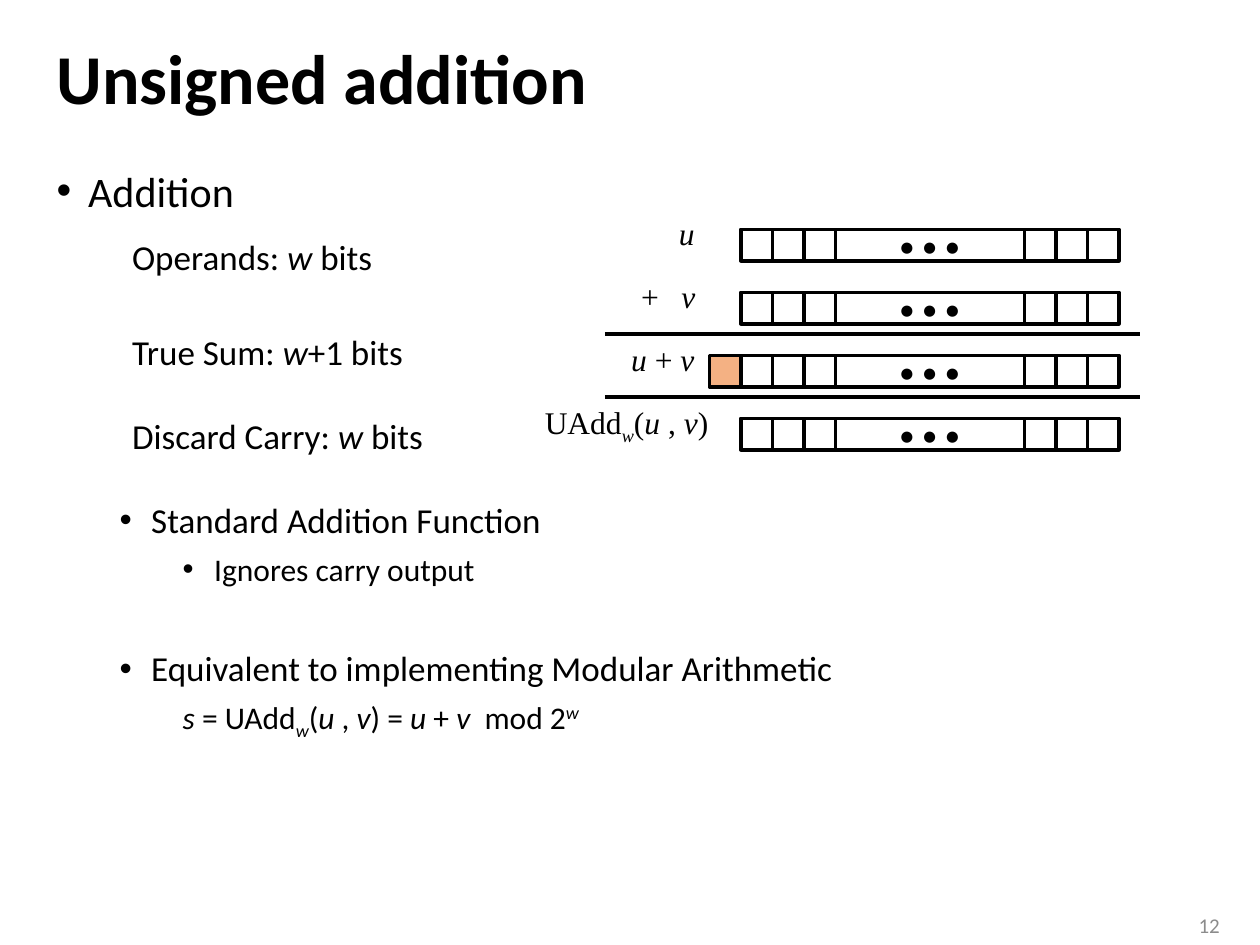
from lxml.etree import SubElement
from pptx import Presentation
from pptx.dml.color import RGBColor
from pptx.enum.shapes import MSO_CONNECTOR, MSO_SHAPE
from pptx.enum.text import MSO_ANCHOR, MSO_AUTO_SIZE, PP_ALIGN
from pptx.oxml.ns import qn
from pptx.util import Inches, Pt

COLORS = {"ink": "000000", "paper": "FFFFFF", "carry": "F4B183", "page": "8C8C8C"}
SANS, SERIF = "Calibri", "Times New Roman"
UNIT, LEFT, TOP, STEP = 0.25, 5.88, 1.82, 0.5
BASES = {"_": "-25000", "^": "30000"}


def color(name):
    """Look up a palette colour."""
    return RGBColor.from_string(COLORS[name])


def place(shape, left, top, width, height):
    """Set a shape's box in inches."""
    shape.left, shape.top = Inches(left), Inches(top)
    shape.width, shape.height = Inches(width), Inches(height)


def write(para, text, size, face=SANS, ink="ink", bold=None):
    """Fill a paragraph; pieces between bars are italic, _ lowers and ^ raises."""
    for i, part in enumerate(text.split("|")):
        if not part:
            continue
        run = para.add_run()
        run.text = part.lstrip("_^")
        if i % 2:
            run.font.italic = True
        if part[0] in BASES:
            run.font._element.set("baseline", BASES[part[0]])
    font = para.font
    font.size, font.name, font.bold = Pt(size), face, bold
    font.color.rgb = color(ink)


def label(slide, box, text, size, face=SANS, align=PP_ALIGN.LEFT, ink="ink"):
    """Add a one-line text box."""
    shape = slide.shapes.add_textbox(*map(Inches, box))
    shape.text_frame.word_wrap = False
    para = shape.text_frame.paragraphs[0]
    para.alignment = align
    write(para, text, size, face, ink)
    return shape


def cell(slide, col, row, span=1, text="", fill="paper"):
    """Add one bit cell on the grid."""
    box = LEFT + col * UNIT, TOP + row * STEP, span * UNIT, UNIT
    shape = slide.shapes.add_shape(MSO_SHAPE.RECTANGLE, *map(Inches, box))
    shape.shadow.inherit = False
    shape.fill.solid()
    shape.fill.fore_color.rgb = color(fill)
    shape.line.color.rgb = color("ink")
    shape.line.width = Pt(2)
    if text:
        frame = shape.text_frame
        frame.word_wrap, frame.vertical_anchor = False, MSO_ANCHOR.MIDDLE
        frame.paragraphs[0].alignment = PP_ALIGN.CENTER
        write(frame.paragraphs[0], text, 18)


def word(slide, row):
    """Add a row of bits with dots in the middle."""
    for col in (0, 1, 2, 9, 10, 11):
        cell(slide, col, row)
    cell(slide, 3, row, 6, "• • •")


def rule(slide, y):
    """Add a sum line across the diagram."""
    ends = map(Inches, (4.8, y, 9.05, y))
    line = slide.shapes.add_connector(MSO_CONNECTOR.STRAIGHT, *ends)
    line.line.color.rgb = color("ink")
    line.line.width = Pt(2)
    SubElement(line._element.spPr, qn("a:effectLst"))


def item(para, text, level, size, space, dot=True):
    """Format one list paragraph."""
    para.level, para.space_before = level, Pt(space)
    props = para._p.get_or_add_pPr()
    props.set("marL", str(Inches(UNIT + level * 0.5)))
    props.set("indent", str(-Inches(UNIT) if dot else -Inches(UNIT)))
    if dot:
        SubElement(props, qn("a:buFont")).set("typeface", "Arial")
        SubElement(props, qn("a:buChar")).set("char", "•")
    else:
        SubElement(props, qn("a:buNone"))
    write(para, text, size)


def text(slide):
    """Fill the title and the list."""
    title, body = slide.placeholders
    place(title, 0.35, 0.19, 9.29, 0.92)
    head = title.text_frame.paragraphs[0]
    head.alignment, head.line_spacing = PP_ALIGN.LEFT, 0.9
    write(head, "Unsigned addition", 40, bold=True)
    place(body, 0.35, 1.26, 9.29, 5.83)
    frame = body.text_frame
    frame.auto_size = MSO_AUTO_SIZE.NONE
    rows = [
        ("Addition", 0, 24, 0),
        ("Standard Addition Function", 1, 20, 162),
        ("Ignores carry output", 2, 18, 5),
        ("Equivalent to implementing Modular Arithmetic", 1, 20, 34),
        ("|s |= UAdd|_w|(|u| , |v|) = |u| + |v|  mod 2|^w|", 2, 18, 5, False),
    ]
    for i, row in enumerate(rows):
        item(frame.add_paragraph() if i else frame.paragraphs[0], *row)


def sums(slide):
    """Draw the bit rows with their labels."""
    for row in range(4):
        word(slide, row)
    cell(slide, -1, 2, fill="carry")
    for y in (2.65, 3.15):
        rule(slide, y)
    names = [
        (5.29, 1.65, 0.33, "|u|", PP_ALIGN.LEFT),
        (5.31, 2.15, 0.31, "|v|", PP_ALIGN.LEFT),
        (4.99, 2.15, 0.39, "+", PP_ALIGN.LEFT),
        (4.91, 2.65, 0.7, "|u |+ |v|", PP_ALIGN.RIGHT),
        (4.21, 3.15, 1.51, "UAdd|_w|(|u| , |v|)", PP_ALIGN.RIGHT),
    ]
    for x, y, width, name, align in names:
        label(slide, (x, y, width, 0.4), name, 18, SERIF, align)
    notes = [
        (1.82, 2.13, "Operands: |w| bits"),
        (2.57, 2.37, "True Sum: |w|+1 bits"),
        (3.24, 2.67, "Discard Carry: |w| bits"),
    ]
    for y, width, note in notes:
        label(slide, (0.95, y, width, 0.44), note, 20).text_frame.word_wrap = True


def main():
    """Build and save the slide."""
    deck = Presentation()
    deck.slide_width, deck.slide_height = Inches(10), Inches(7.5)
    slide = deck.slides.add_slide(deck.slide_layouts[1])
    text(slide)
    sums(slide)
    page = label(slide, (9.27, 7.19, 0.51, 0.31), "12", 12, SANS, PP_ALIGN.RIGHT, "page")
    page.text_frame.vertical_anchor = MSO_ANCHOR.MIDDLE
    deck.save("out.pptx")


if __name__ == "__main__":
    main()
